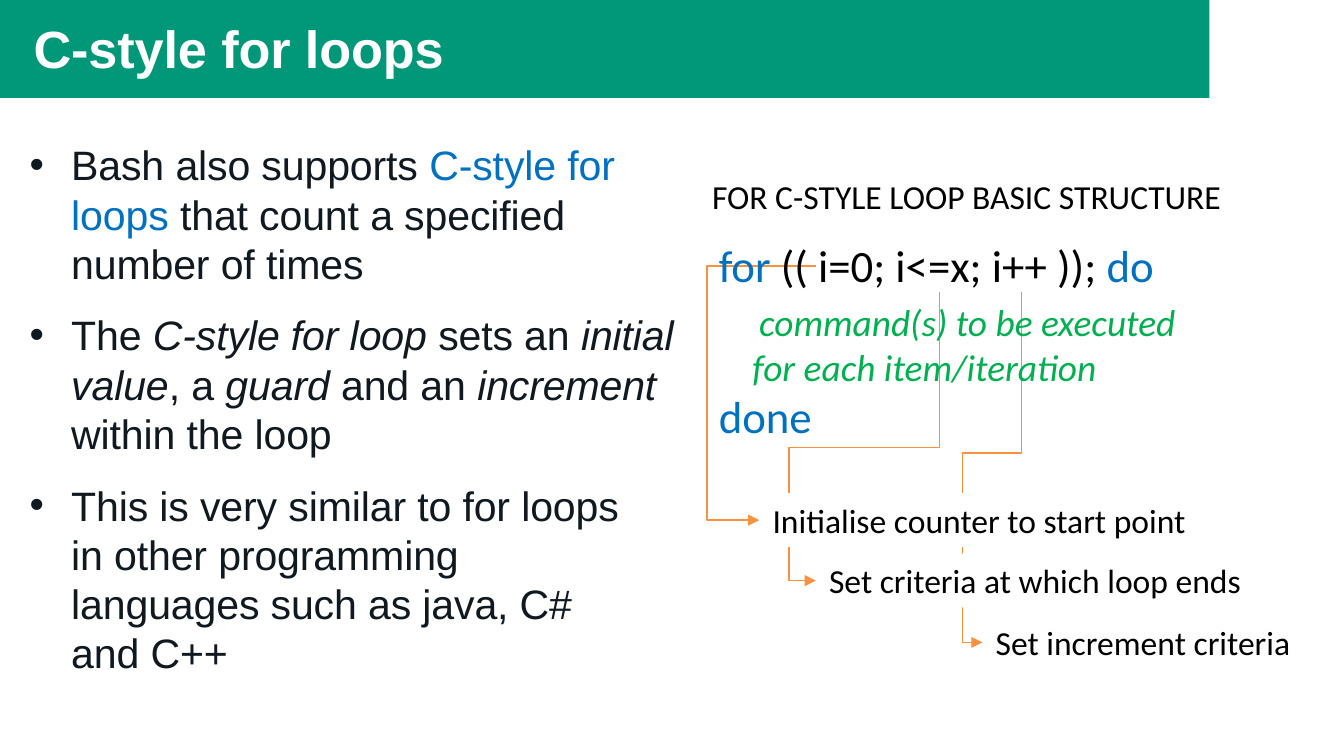
import pptx
import pptx.util
import pptx.dml.color
import pptx.enum.shapes
import pptx.enum.text
import pptx.oxml.ns
import lxml.etree

Inches = pptx.util.Inches
Pt = pptx.util.Pt
qn = pptx.oxml.ns.qn

COLOURS = {
    "band": "009878",
    "white": "FFFFFF",
    "body": "101920",
    "keyword": "0070C0",
    "command": "00B050",
    "code": "000000",
    "arrow": "F69240",
}
LABEL_HEIGHT = 0.4


def rgb(name):
    return pptx.dml.color.RGBColor.from_string(COLOURS[name])


def add_run(paragraph, text, size, font, colour, bold=False, italic=False, spacing=0):
    run = paragraph.add_run()
    run.text = text
    run.font.size = Pt(size)
    run.font.name = font
    run.font.color.rgb = rgb(colour)
    run.font.bold = bold
    run.font.italic = italic
    if spacing:
        run.font._element.set("spc", str(spacing))


def prepare_frame(frame, margins=(0.1, 0.05, 0.1, 0.05), wrap=True):
    frame.margin_left, frame.margin_top, frame.margin_right, frame.margin_bottom = map(Inches, margins)
    frame.word_wrap = wrap
    frame.auto_size = pptx.enum.text.MSO_AUTO_SIZE.NONE
    frame.vertical_anchor = pptx.enum.text.MSO_ANCHOR.TOP


def place(shape, left, top, width, height):
    shape.left, shape.top = Inches(left), Inches(top)
    shape.width, shape.height = Inches(width), Inches(height)


def add_rectangle(slide, left, top, width, height, colour):
    rectangle = slide.shapes.add_shape(
        pptx.enum.shapes.MSO_SHAPE.RECTANGLE,
        Inches(left), Inches(top), Inches(width), Inches(height))
    rectangle.shadow.inherit = False
    rectangle.fill.solid()
    rectangle.fill.fore_color.rgb = rgb(colour)
    rectangle.line.fill.background()
    return rectangle


def add_band(slide):
    band = add_rectangle(slide, 0, 0, 9, 0.73, "band")
    slide.shapes._spTree.insert(2, band._element)


def fill_title(slide, text):
    title = slide.shapes.title
    place(title, 0.24, 0.11, 3.38, 0.49)
    prepare_frame(title.text_frame, (0.01, 0.01, 0, 0))
    paragraph = title.text_frame.paragraphs[0]
    paragraph.alignment = pptx.enum.text.PP_ALIGN.LEFT
    paragraph.space_before = Pt(1)
    add_run(paragraph, text, 28, "Arial", "white", bold=True, spacing=-5)


def fill_bullets(slide, bullets):
    body = slide.placeholders[1]
    place(body, 0.2, 1.01, 5, 4.07)
    frame = body.text_frame
    prepare_frame(frame, (0, 0.03, 0, 0))
    for index, (right_margin, runs) in enumerate(bullets):
        paragraph = frame.paragraphs[0] if index == 0 else frame.add_paragraph()
        paragraph.space_before = Pt(0)
        paragraph.space_after = Pt(12)
        paragraph.line_spacing = 1.0
        properties = paragraph._p.get_or_add_pPr()
        properties.set("marL", str(Inches(0.33)))
        properties.set("marR", str(Inches(right_margin)))
        properties.set("indent", str(Inches(-0.31)))
        for text, colour, italic in runs:
            add_run(paragraph, text, 22, "Arial", colour, italic=italic, spacing=-5)


def add_code(slide, lines):
    code = slide.shapes.add_textbox(Inches(5.25), Inches(1.72), Inches(4.23), Inches(1.65))
    frame = code.text_frame
    prepare_frame(frame)
    for index, (indent, before, size, italic, runs) in enumerate(lines):
        paragraph = frame.paragraphs[0] if index == 0 else frame.add_paragraph()
        paragraph.space_before = Pt(before)
        paragraph._p.get_or_add_pPr().set("marL", str(Inches(indent)))
        for text, colour in runs:
            add_run(paragraph, text, size, "Calibri", colour, italic=italic)


def add_heading(slide, text):
    heading = slide.shapes.add_textbox(Inches(5.2), Inches(1.26), Inches(4.02), Inches(0.4))
    prepare_frame(heading.text_frame, wrap=False)
    add_run(heading.text_frame.paragraphs[0], text, 18, "Calibri", "code")


def add_label(slide, left, top, width, text):
    label = add_rectangle(slide, left, top, width, LABEL_HEIGHT, "white")
    prepare_frame(label.text_frame, wrap=False)
    paragraph = label.text_frame.paragraphs[0]
    paragraph.alignment = pptx.enum.text.PP_ALIGN.LEFT
    add_run(paragraph, text, 18, "Calibri", "code")


def add_elbow(slide, begin, end, preset, adjustments):
    elbow = slide.shapes.add_connector(
        pptx.enum.shapes.MSO_CONNECTOR.ELBOW, *map(Inches, begin + end))
    elbow.line.color.rgb = rgb("arrow")
    elbow.line.width = Pt(0.75)
    properties = elbow._element.spPr
    line = properties.find(qn("a:ln"))
    lxml.etree.SubElement(line, qn("a:tailEnd"), type="triangle")
    lxml.etree.SubElement(properties, qn("a:effectLst"))
    geometry = properties.find(qn("a:prstGeom"))
    geometry.set("prst", preset)
    guides = geometry.find(qn("a:avLst"))
    for name, value in adjustments.items():
        lxml.etree.SubElement(guides, qn("a:gd"), name=name, fmla=f"val {round(value * 100000)}")
    return elbow


def add_side_arrow(slide, begin, end, bend_x):
    ratio = (begin[0] - bend_x) / (begin[0] - end[0])
    add_elbow(slide, begin, end, "bentConnector3", {"adj1": ratio})


def add_drop_arrow(slide, begin, end, bend_x, bend_y):
    across, down = begin[0] - end[0], end[1] - begin[1]
    middle_x, middle_y = (begin[0] + end[0]) / 2, (begin[1] + end[1]) / 2
    left, top = middle_x - down / 2, middle_y - across / 2
    ratios = {"adj1": (bend_y - begin[1]) / down, "adj2": (begin[0] - bend_x) / across}
    arrow = add_elbow(slide, (left, top), (left + down, top + across), "bentConnector4", ratios)
    arrow._element.spPr.find(qn("a:xfrm")).set("rot", str(90 * 60000))


def main():
    deck = pptx.Presentation()
    deck.slide_width = Inches(10)
    deck.slide_height = deck.slide_width * 9 // 16
    slide = deck.slides.add_slide(deck.slide_layouts[1])

    add_band(slide)
    fill_title(slide, "C-style for loops")
    fill_bullets(slide, [
        (0, [("Bash also supports ", "body", False),
             ("C-style for loops", "keyword", False),
             (" that count a specified number of times", "body", False)]),
        (0, [("The ", "body", False), ("C-style for loop", "body", True),
             (" sets an ", "body", False), ("initial value", "body", True),
             (", a ", "body", False), ("guard", "body", True),
             (" and an ", "body", False), ("increment ", "body", True),
             ("within the loop", "body", False)]),
        (0.48, [("This is very similar to for loops in other programming "
                 "languages such as java, C# and C++", "body", False)]),
    ])

    labels = [
        (5.65, 3.67, 3.31, "Initialise counter to start point"),
        (6.07, 4.12, 3.31, "Set criteria at which loop ends"),
        (7.31, 4.58, 2.42, "Set increment criteria"),
    ]
    start, guard, increment = [(left, top + LABEL_HEIGHT / 2) for left, top, _, _ in labels]
    add_side_arrow(slide, (6.07, 1.98), start, 5.26)
    add_drop_arrow(slide, (6.99, 2.17), guard, 5.87, 3.33)
    add_drop_arrow(slide, (7.6, 2.17), increment, 7.16, 3.37)

    add_code(slide, [
        (0, 0, 24, False, [("for", "keyword"), (" (( i=0; i<=x; i++ )); ", "code"),
                           ("do", "keyword")]),
        (0.3, 4, 20, True, [("command(s) to be executed", "command")]),
        (0.25, 0, 20, True, [("for each item/iteration", "command")]),
        (0, 0, 24, False, [("done", "keyword")]),
    ])
    add_heading(slide, "FOR C-STYLE LOOP BASIC STRUCTURE")
    for label in labels:
        add_label(slide, *label)

    deck.save("out.pptx")


if __name__ == "__main__":
    main()
